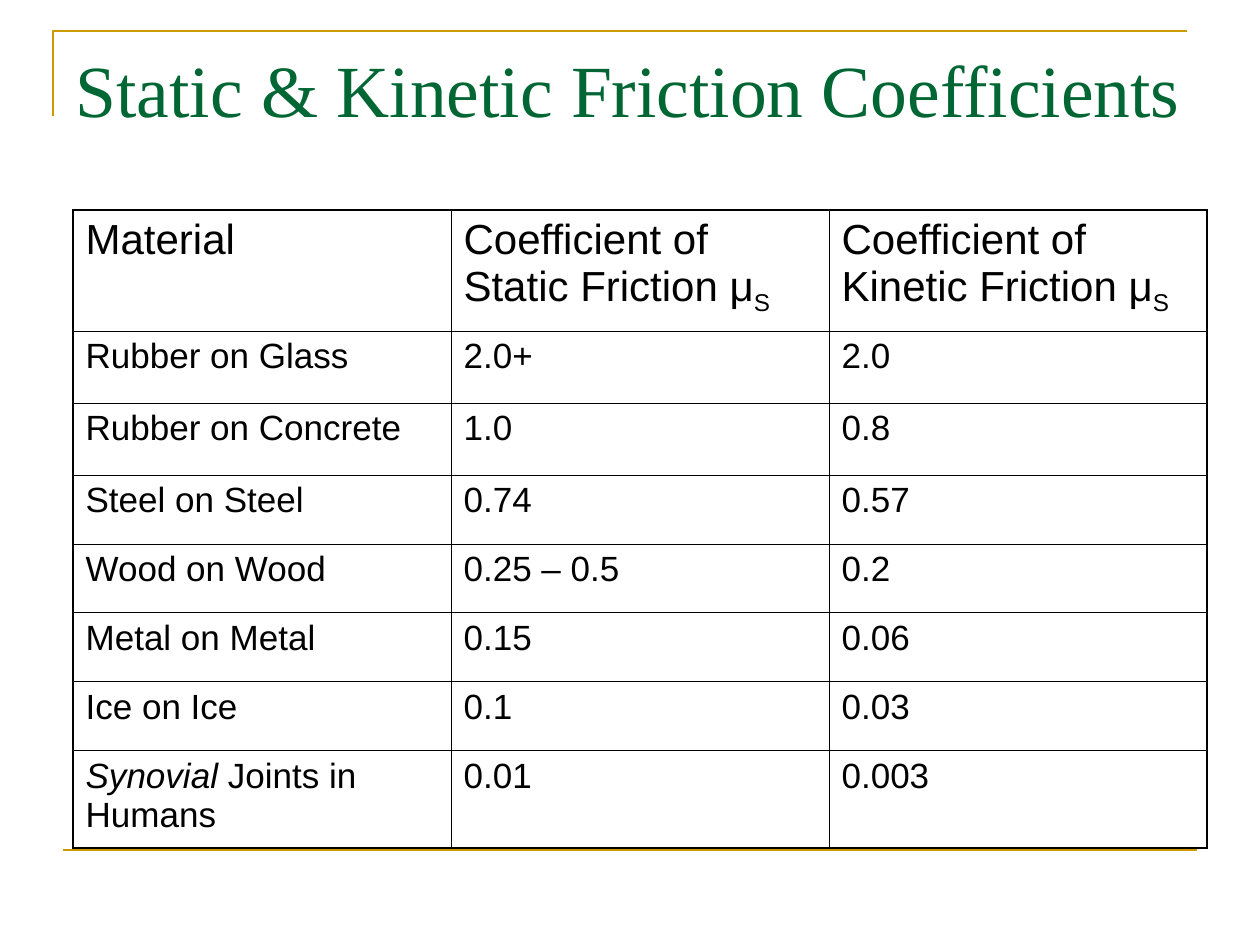
from lxml import etree
from pptx import Presentation
from pptx.dml.color import RGBColor
from pptx.enum.shapes import MSO_CONNECTOR
from pptx.enum.text import MSO_ANCHOR, PP_ALIGN
from pptx.oxml.ns import qn
from pptx.util import Emu, Pt

LINE = MSO_CONNECTOR.STRAIGHT
TOP = MSO_ANCHOR.TOP
LEFT = PP_ALIGN.LEFT

GOLD = RGBColor(0xCC, 0x99, 0x00)
GREEN = RGBColor(0x00, 0x66, 0x33)
BLACK = RGBColor(0x00, 0x00, 0x00)

HEADER = [[("Material", "")],
          [("Coefficient of Static Friction μ", ""), ("S", "sub")],
          [("Coefficient of Kinetic Friction μ", ""), ("S", "sub")]]
DATA = [("Rubber on Glass", "2.0+", "2.0"),
        ("Rubber on Concrete", "1.0", "0.8"),
        ("Steel on Steel", "0.74", "0.57"),
        ("Wood on Wood", "0.25 – 0.5", "0.2"),
        ("Metal on Metal", "0.15", "0.06"),
        ("Ice on Ice", "0.1", "0.03")]
LAST = [[("Synovial", "italic"), (" Joints in Humans", "")],
        [("0.01", "")], [("0.003", "")]]
ROWS = [HEADER] + [[[(text, "")] for text in row] for row in DATA] + [LAST]
HEIGHTS = [121, 72, 72, 69, 69, 69, 69, 97]
COL_W = 378


def px(n):
    return Emu(round(n * 914400 / 126))


def add_border(cell, side, width):
    ln = etree.SubElement(cell._tc.get_or_add_tcPr(), qn("a:ln" + side), w=str(Pt(width)))
    fill = etree.SubElement(ln, qn("a:solidFill"))
    etree.SubElement(fill, qn("a:srgbClr"), val=str(BLACK))


prs = Presentation()
prs.slide_width, prs.slide_height = px(1260), px(945)
s = prs.slides.add_slide(prs.slide_layouts[5])

builder = s.shapes.build_freeform(px(53), px(116))
builder.add_line_segments([(px(53), px(31)), (px(1187), px(31))], close=False)
corner = builder.convert_to_shape()
corner.shadow.inherit = False
corner.fill.background()

rule = s.shapes.add_connector(LINE, px(63), px(850), px(1197), px(850))
etree.SubElement(rule._element.spPr, qn("a:effectLst"))

for sp in (corner, rule):
    sp.line.color.rgb = GOLD
    sp.line.width = Pt(1.5)

title = s.shapes.title
title.left, title.top, title.width, title.height = px(63), px(38), px(1134), px(158)
s.shapes._spTree.append(title._element)
tf = title.text_frame
tf.text = "Static & Kinetic Friction Coefficients"
tf.vertical_anchor = TOP
p = tf.paragraphs[0]
p.alignment = LEFT
font = p.runs[0].font
font.name, font.size = "Times New Roman", Pt(42)
font.color.rgb = GREEN

table = s.shapes.add_table(len(ROWS), 3, px(73), px(210), px(3 * COL_W), px(sum(HEIGHTS))).table
table.first_row = False
table.horz_banding = False
for col in table.columns:
    col.width = px(COL_W)

for i, row in enumerate(ROWS):
    table.rows[i].height = px(HEIGHTS[i])
    for j, runs in enumerate(row):
        cell = table.cell(i, j)
        outer = {"L": j == 0, "R": j == 2, "T": i == 0, "B": i == len(ROWS) - 1}
        for side, is_outer in outer.items():
            add_border(cell, side, 1.08 if is_outer else 0.45)
        cell.fill.background()
        p = cell.text_frame.paragraphs[0]
        p.space_before = Pt(6 if i == 0 else 5)
        for text, style in runs:
            r = p.add_run()
            r.text = text
            r.font.name = "Arial"
            r.font.size = Pt(24 if i == 0 else 20)
            r.font.color.rgb = BLACK
            if style == "italic":
                r.font.italic = True
            if style == "sub":
                r._r.get_or_add_rPr().set("baseline", "-25000")

prs.save("out.pptx")
